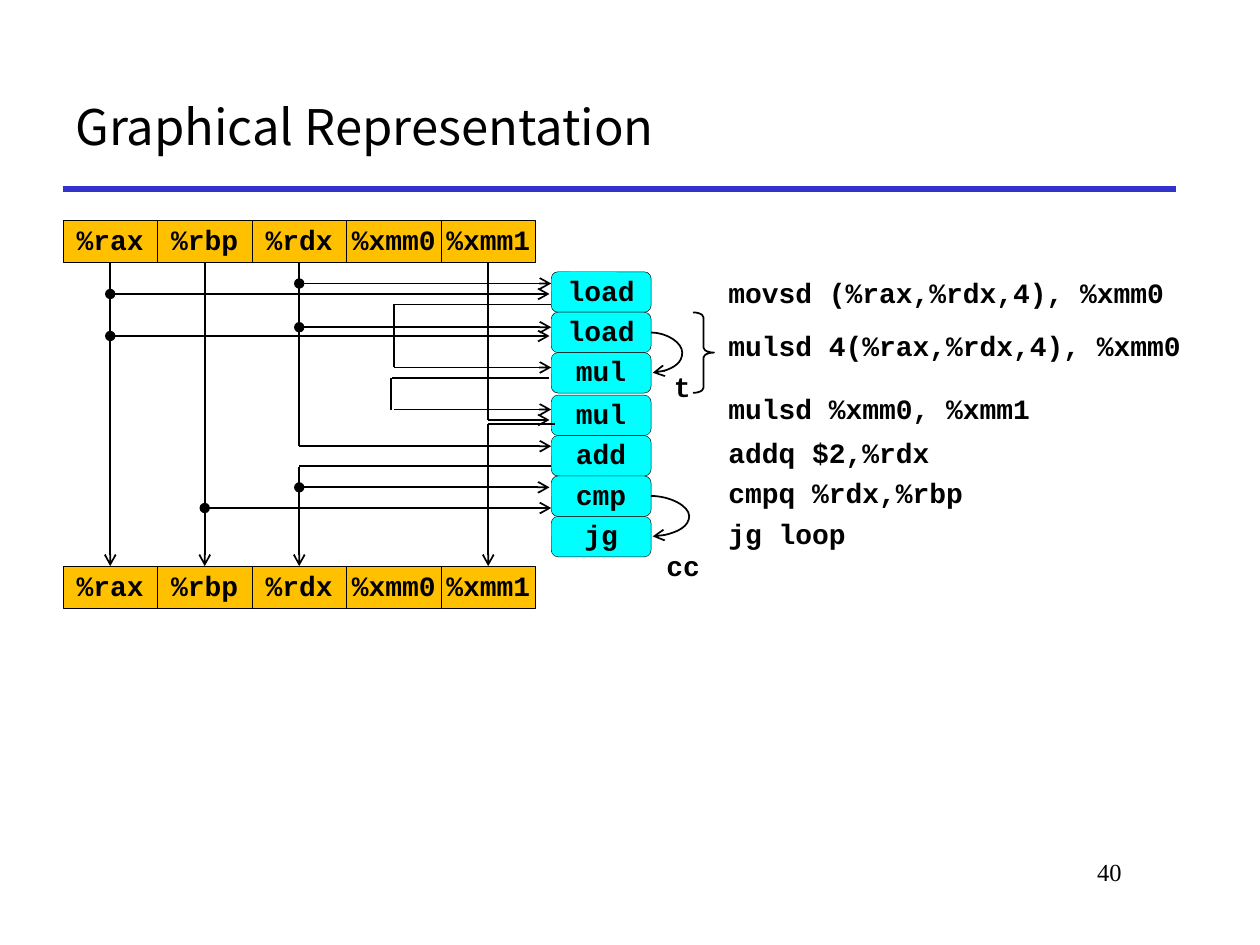
from lxml import etree
from pptx import Presentation
from pptx.dml.color import RGBColor
from pptx.enum.shapes import MSO_CONNECTOR, MSO_SHAPE
from pptx.enum.text import MSO_ANCHOR, PP_ALIGN
from pptx.oxml.ns import qn
from pptx.util import Pt

STRAIGHT, CURVE = MSO_CONNECTOR.STRAIGHT, MSO_CONNECTOR.CURVE
RECT, ROUND, BRACE = MSO_SHAPE.RECTANGLE, MSO_SHAPE.ROUNDED_RECTANGLE, MSO_SHAPE.RIGHT_BRACE
TOP, MIDDLE = MSO_ANCHOR.TOP, MSO_ANCHOR.MIDDLE
LEFT, CENTER, RIGHT = PP_ALIGN.LEFT, PP_ALIGN.CENTER, PP_ALIGN.RIGHT

BLACK = RGBColor(0x00, 0x00, 0x00)
BLUE = RGBColor(0x33, 0x33, 0xCC)
ORANGE = RGBColor(0xFF, 0xC0, 0x00)
CYAN = RGBColor(0x00, 0xFF, 0xFF)

CODE_FONT = {"name": "Courier New", "size": Pt(16), "bold": True}
TITLE_FONT = {"name": "Noto Sans CJK KR", "size": Pt(28)}
NUMBER_FONT = {"name": "Times New Roman", "size": Pt(14)}

# Content
TITLE = "Graphical Representation"
PAGE_NUMBER = "40"
REGISTERS = ["%rax", "%rbp", "%rdx", "%xmm0", "%xmm1"]
OPERATION_GROUPS = [["load", "load", "mul"], ["mul", "add", "cmp", "jg"]]
# Instruction, top, width, height
INSTRUCTIONS = [
    ("movsd (%rax,%rdx,4), %xmm0", 156, 270, 24),
    ("mulsd 4(%rax,%rdx,4), %xmm0", 186, 288, 25),
    ("mulsd %xmm0, %xmm1", 222, 288, 25),
    ("addq $2,%rdx", 247.7, 198, 24),
    ("cmpq %rdx,%rbp", 270.7, 198, 24),
    ("jg loop", 293.8, 198, 24),
]

# Layout
REG_LEFT, REG_WIDTH, REG_HEIGHT = 36, 54, 24
REG_IN, REG_OUT = 126, 323.5
OP_LEFT, OP_TOP, OP_WIDTH, OP_HEIGHT, GROUP_GAP = 315, 155.3, 57, 23.1, 1.2
CODE_LEFT = 408
RAX, RBP, RDX, XMM0, XMM1 = (REG_LEFT + REG_WIDTH * (i + 0.5) for i in range(5))
IN_BOTTOM = REG_IN + REG_HEIGHT
OP_NEAR = OP_LEFT - 1
OP_RIGHT = OP_LEFT + OP_WIDTH

# Wires: x1, y1, x2, y2, start end, finish end
DOT, ARROW = "oval", "arrow"
WIRES = [
    # registers downwards
    (RAX, IN_BOTTOM, RAX, REG_OUT, None, ARROW),
    (RBP, IN_BOTTOM, RBP, REG_OUT, None, ARROW),
    (RDX, IN_BOTTOM, RDX, 255, None, None),
    (RDX, 267, RDX, REG_OUT, None, ARROW),
    (XMM1, IN_BOTTOM, XMM1, 240, None, None),
    (XMM1, 242.5, XMM1, REG_OUT, None, ARROW),
    # operands read by the loads
    (RDX, 162, OP_LEFT, 162, DOT, ARROW),
    (RAX, 168, OP_NEAR, 168, DOT, ARROW),
    (RDX, 187, OP_LEFT, 187, DOT, ARROW),
    (RAX, 192, OP_NEAR, 192, DOT, ARROW),
    # first load to first mul
    (XMM0, 174, OP_LEFT, 174, None, None),
    (XMM0, 174, XMM0, 210, None, None),
    (XMM0, 210, OP_LEFT, 210, None, ARROW),
    # first mul to second mul
    (224, 216, OP_NEAR, 216, None, None),
    (223.4, 216, 223.4, 234.5, None, None),
    (XMM0, 234, OP_LEFT, 234, None, ARROW),
    (XMM1, 240, OP_NEAR, 240, None, ARROW),
    (XMM1, 242.5, 317, 242.5, None, None),
    # add and cmp
    (RDX, 255, OP_LEFT, 255, None, ARROW),
    (RDX, 266.4, OP_LEFT, 266.4, None, None),
    (RDX, 278.5, OP_NEAR, 278.5, DOT, ARROW),
    (RBP, 290.3, OP_LEFT, 290.3, DOT, ARROW),
]
# Hand-over between operations: y1, y2, bulge; its label: text, left, top, width, height
HANDOVERS = [
    (190, 213, 18, ("t", 378, 210, 24.5, 24.5)),
    (283.4, 306.5, 22, ("cc", 373.7, 312, 34, 25)),
]

prs = Presentation()
prs.slide_width, prs.slide_height = Pt(720), Pt(540)
slide = prs.slides.add_slide(prs.slide_layouts[6])
shapes = slide.shapes


def write(shape, text, font, align=LEFT, anchor=MIDDLE, spacing=1.0, wrap=True, inset=None):
    frame = shape.text_frame
    frame.word_wrap = wrap
    frame.vertical_anchor = anchor
    if inset is not None:
        for side in ("left", "top", "right", "bottom"):
            setattr(frame, "margin_" + side, Pt(inset))
    paragraph = frame.paragraphs[0]
    paragraph.alignment = align
    paragraph.line_spacing = spacing
    run = paragraph.add_run()
    run.text = text
    for key, value in font.items():
        setattr(run.font, key, value)
    run.font.color.rgb = BLACK


def add_box(kind, place, fill=None, line=None):
    shape = shapes.add_shape(kind, *map(Pt, place))
    shape.shadow.inherit = False
    if fill is None:
        shape.fill.background()
    else:
        shape.fill.solid()
        shape.fill.fore_color.rgb = fill
    if line is None:
        shape.line.fill.background()
    else:
        shape.line.color.rgb = BLACK
        shape.line.width = Pt(line)
    return shape


def add_label(place, text, font, **layout):
    write(shapes.add_textbox(*map(Pt, place)), text, font, **layout)


def add_wire(x1, y1, x2, y2, start=None, finish=None, color=BLACK, width=1, kind=STRAIGHT):
    wire = shapes.add_connector(kind, Pt(x1), Pt(y1), Pt(x2), Pt(y2))
    wire.line.color.rgb = color
    wire.line.width = Pt(width)
    outline = wire.line._get_or_add_ln()
    for tag, end in (("a:headEnd", start), ("a:tailEnd", finish)):
        if end:
            etree.SubElement(outline, qn(tag), type=end)
    etree.SubElement(wire._element.spPr, qn("a:effectLst"))
    return wire


# Title, rule and page number
add_label((36, 36, 636, 72), TITLE, TITLE_FONT)
add_wire(36, 108, 672, 108, color=BLUE, width=3)
add_label((546, 486, 102, 36), PAGE_NUMBER, NUMBER_FONT, align=RIGHT, anchor=TOP)

# Registers before and after the loop body
for top in (REG_IN, REG_OUT):
    for i, register in enumerate(REGISTERS):
        cell = add_box(RECT, (REG_LEFT + i * REG_WIDTH, top, REG_WIDTH, REG_HEIGHT), ORANGE, 0.25)
        write(cell, register, CODE_FONT, align=CENTER, spacing=0.9, inset=0)

# Operations
top = OP_TOP
for group in OPERATION_GROUPS:
    for operation in group:
        unit = add_box(ROUND, (OP_LEFT, top, OP_WIDTH, OP_HEIGHT), CYAN, 0.25)
        write(unit, operation, CODE_FONT, align=CENTER, spacing=0.9, inset=0)
        top += OP_HEIGHT
    top += GROUP_GAP

# Data flow
for wire in WIRES:
    add_wire(*wire)
for y1, y2, bulge, (text, *place) in HANDOVERS:
    arc = add_wire(OP_RIGHT, y1, OP_RIGHT + 1, y2, finish=ARROW, kind=CURVE)
    guides = arc._element.spPr.find(qn("a:prstGeom")).get_or_add_avLst()
    etree.SubElement(guides, qn("a:gd"), name="adj1", fmla=f"val {bulge * 100000}")
    add_label(place, text, CODE_FONT, anchor=TOP, spacing=0.9, wrap=False)

# Instructions, with the brace over the two operations of one of them
brace = add_box(BRACE, (396, 178.5, 12, 46), line=1)
brace.adjustments[0] = 0.24
for text, top, width, height in INSTRUCTIONS:
    write(add_box(ROUND, (CODE_LEFT, top, width, height)), text, CODE_FONT, spacing=0.9)

prs.save("out.pptx")
